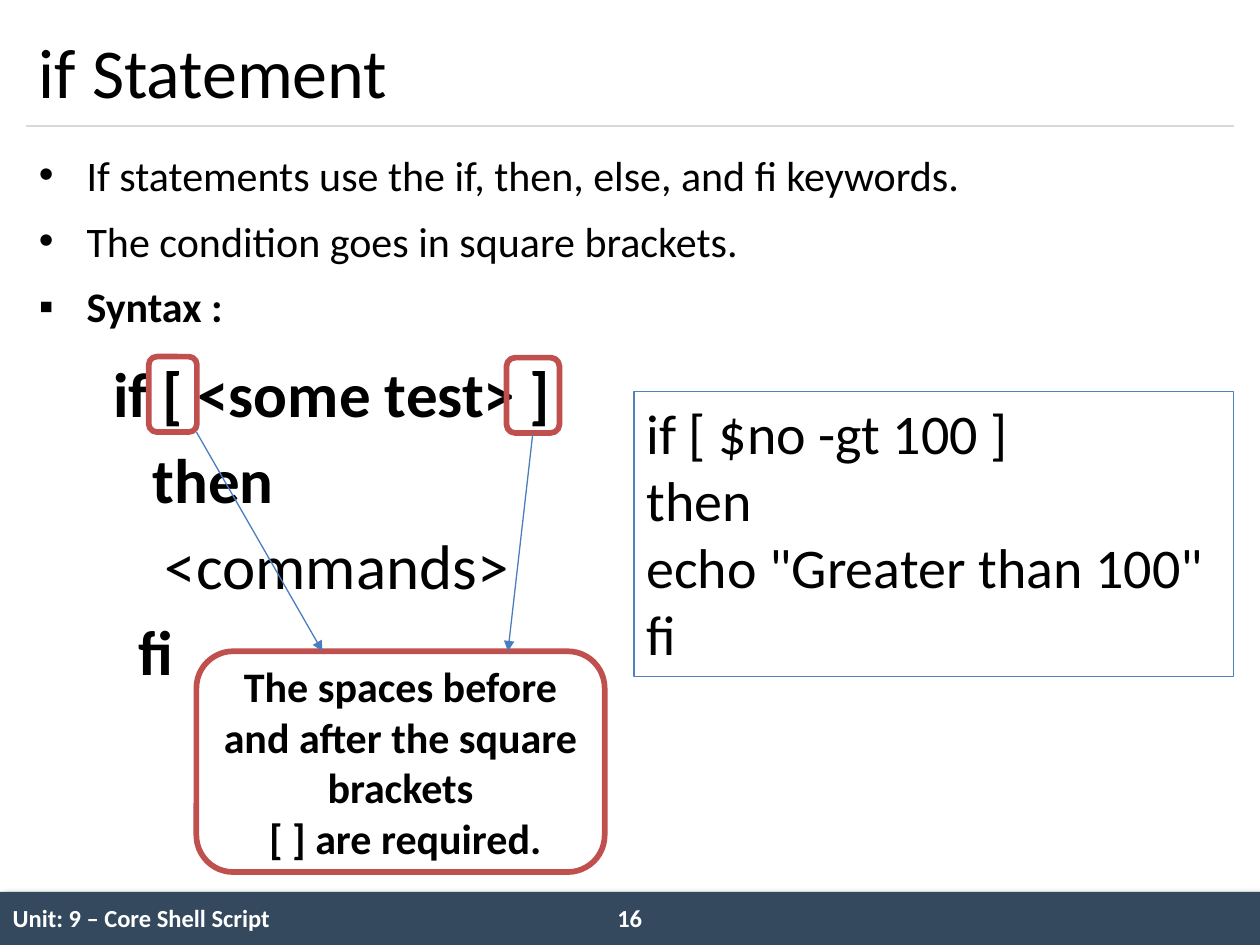
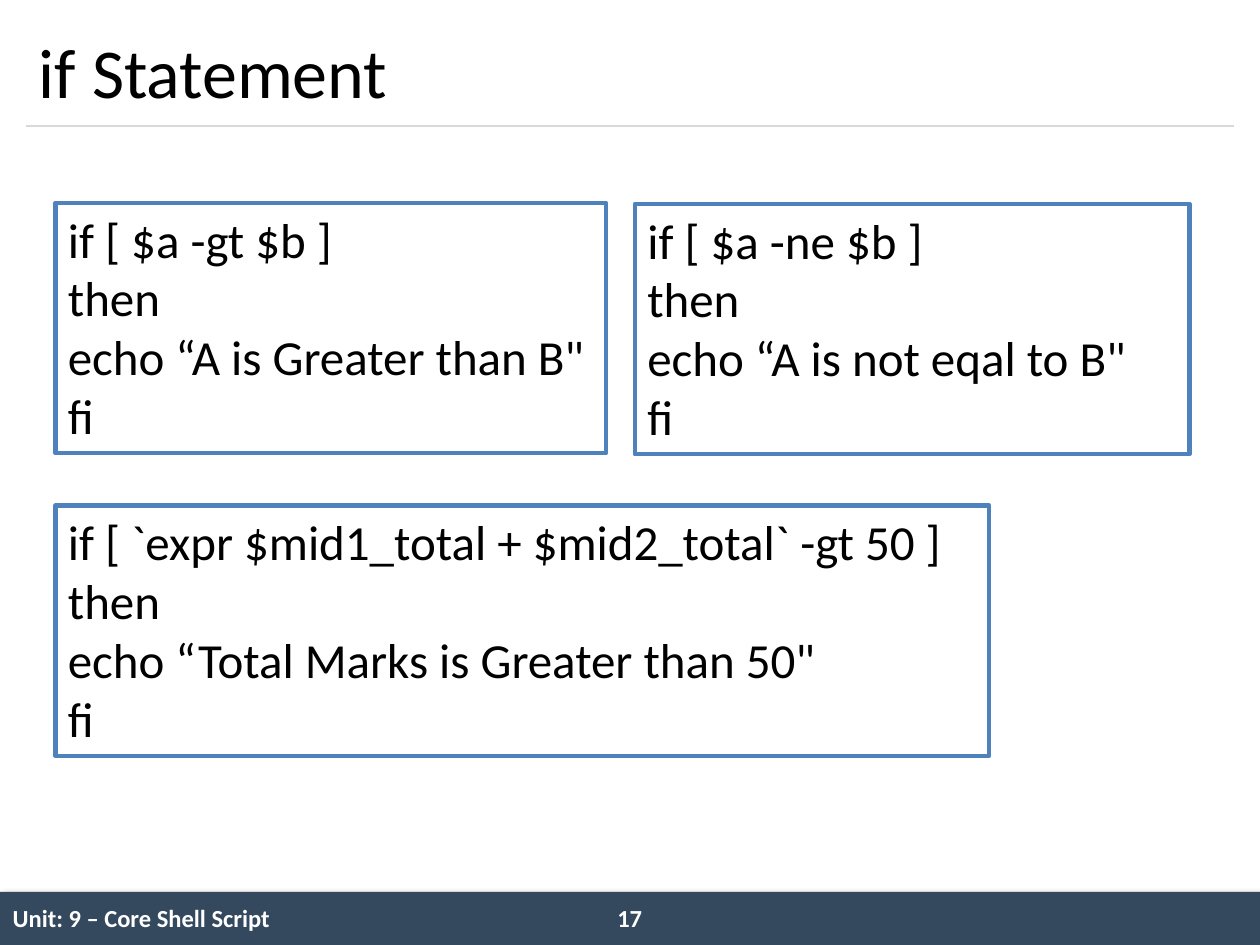
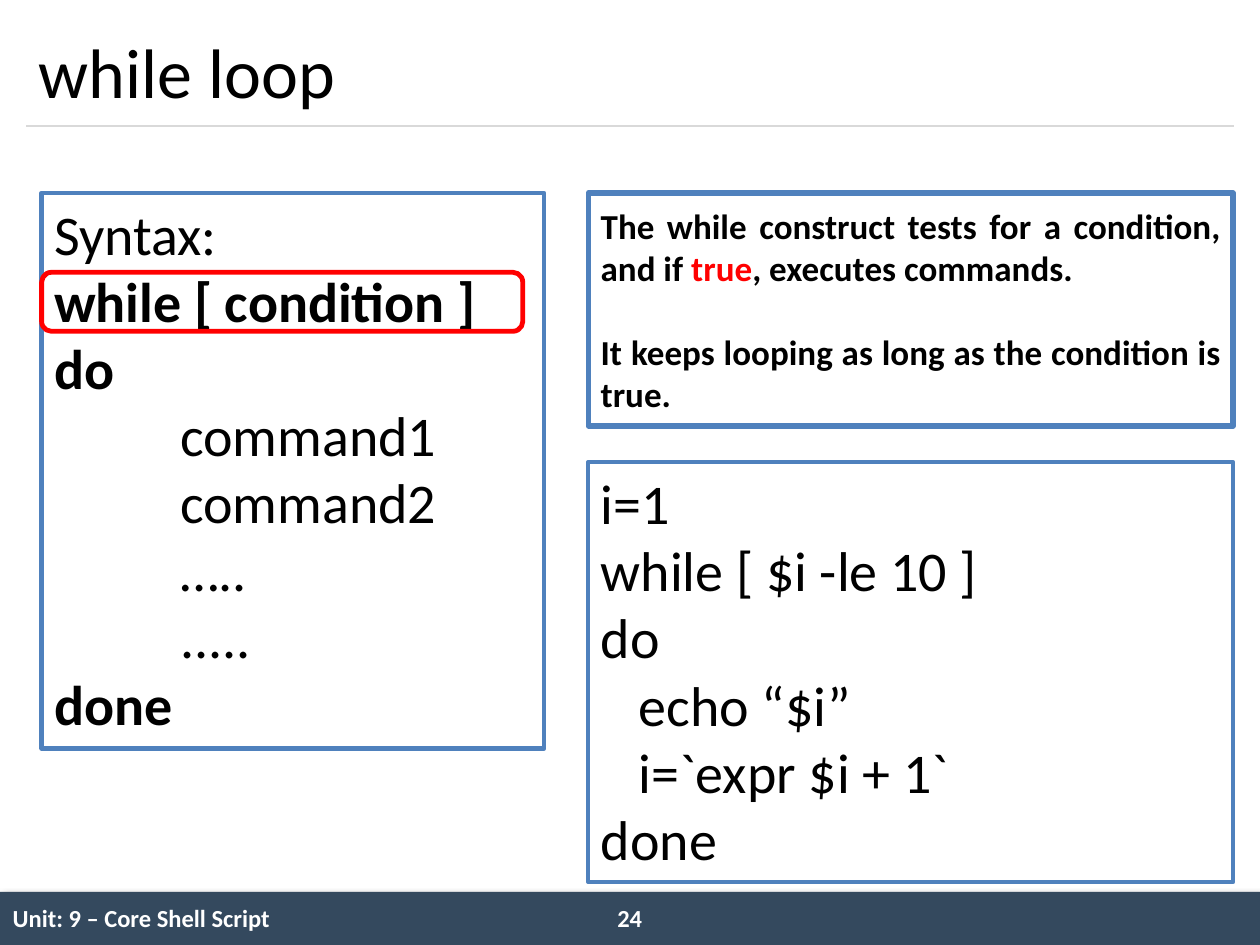
"""Builds three shell script slides on if statements and while loops."""
from lxml.etree import SubElement as Sub
from pptx import Presentation
from pptx.dml.color import RGBColor
from pptx.enum.shapes import MSO_CONNECTOR as Link, MSO_SHAPE as Form
from pptx.enum.text import MSO_ANCHOR as Anchor, MSO_AUTO_SIZE as Auto, PP_ALIGN as Align
from pptx.oxml.ns import qn
from pptx.util import Cm, Pt

FONT = "Calibri"
UNIT = "Unit: 9 – Core Shell Script"
BLACK, WHITE, RED = "000000", "FFFFFF", "FF0000"
NAVY, GREY, BLUE, BRICK, STEEL = "34495E", "D9D9D9", "4F81BD", "C0504D", "4B7EBC"
PLAIN = "{2D5ABB26-0587-4C30-8999-92F81FD0307C}"
LEFT, WIDE, HIGH = 0.53, 25.4, 19.05
SPAN, RULE, FOOT = WIDE - 2 * LEFT, 2.54, 17.98
COLS = (12.9, 1.7, 10.8)

BOLD = {"bold": True}
NOTE = {"size": 24, "bold": True, "align": Align.CENTER, "anchor": Anchor.MIDDLE}
TEXT = {"size": 20, "bold": True, "align": Align.JUSTIFY, "anchor": Anchor.MIDDLE}
ITEM = {"align": Align.JUSTIFY, "left": 0.96, "first": -0.96, "before": 4.8}
DOT = {**ITEM, "bullet": "•"}
CODE = {"size": 36, "bold": True}
DEEP, STEP = {"left": 2.54}, {"left": 0.77}

SLIDES = [
    {
        "title": "if Statement", "page": 16,
        "body": [
            ("If statements use the if, then, else, and fi keywords.", DOT),
            ("The condition goes in square brackets.", DOT),
            ("Syntax :", {**ITEM, **BOLD, "bullet": "▪"}),
            ("if [ <some test> ]", {**CODE, "left": 1.5, "before": 7.2}),
            ("then", {**CODE, "left": 2.29}),
            ("<commands>", {**CODE, "left": 2.54, "bold": False}),
            ("fi", {**CODE, "left": 2.01}),
        ],
        "boxes": [
            ((12.78, 7.9, 12.09, 5.74), 0.75, {"size": 32},
             ["if [ $no -gt 100 ]", "then", 'echo "Greater than 100"', "fi"]),
        ],
        "marks": [
            ((3, 7.19, 0.97, 1.52), BRICK, 3.25, []),
            ((10.21, 7.21, 1.07, 1.52), BRICK, 3.25, []),
            ((3.96, 13.13, 8.23, 4.45), BRICK, 3.25,
             ["The spaces before and after the square brackets", " [ ] are required."]),
        ],
        "arrows": [(3.96, 8.71, 6.5, 13.13), (10.74, 8.74, 10.24, 13.13)],
    },
    {
        "title": "if Statement", "page": 17,
        "boxes": [
            ((1.12, 4.09, 11.1, 5.05), 2.5, {"size": 28},
             ["if [ $a -gt $b ]", "then", 'echo “A is Greater than B"', "fi"]),
            ((12.8, 4.11, 11.18, 5.05), 2.5, {"size": 28},
             ["if [ $a -ne $b ]", "then", 'echo “A is not eqal to B"', "fi"]),
            ((1.12, 10.19, 18.82, 5.05), 2.5, {"size": 28},
             ["if [ `expr $mid1_total + $mid2_total` -gt 50 ]", "then",
              'echo “Total Marks is Greater than 50"', "fi"]),
        ],
    },
    {
        "title": "while loop", "page": 24,
        "boxes": [
            ((0.84, 3.89, 10.13, 11.2), 2.5, {"size": 32},
             ["Syntax:", ("while [ condition ]", BOLD), ("do", BOLD),
              ("command1", DEEP), ("command2", DEEP), ("…..", DEEP), (".....", DEEP),
              ("done", BOLD)]),
            ((11.86, 9.32, 13, 8.46), 2.5, {"size": 32},
             ["i=1", "while [ $i -le 10 ]", "do", ("echo “$i”", STEP),
              ("i=`expr $i + 1`", STEP), "done"]),
            ((11.86, 3.89, 13, 4.7), 3, TEXT,
             [([("The while construct tests for a condition, and if ", BLACK),
                ("true", RED), (", executes commands.", BLACK)], {}),
              ("It keeps looping as long as the condition is true.", {"before": 24})]),
        ],
        "marks": [((0.84, 5.49, 9.7, 1.19), RED, 2.75, [])],
    },
]


def tint(code):
    """Turn a hex string into a colour."""
    return RGBColor.from_string(code)


def put(item, vals):
    """Set each attribute named in a dict."""
    for name, val in vals.items():
        setattr(item, name, val)


def place(item, spot):
    """Move and size a shape, in centimetres."""
    put(item, dict(zip(("left", "top", "width", "height"), map(Cm, spot))))


def write(frame, lines, **base):
    """Fill a text frame, one paragraph per line."""
    put(frame, {"word_wrap": True, "auto_size": Auto.NONE,
                "vertical_anchor": base.get("anchor", Anchor.TOP)})
    for num, line in enumerate(lines):
        text, own = line if isinstance(line, tuple) else (line, {})
        look = {**base, **own}
        para = frame.add_paragraph() if num else frame.paragraphs[0]
        put(para, {"alignment": look.get("align", Align.LEFT),
                   "line_spacing": look.get("space", 1.0),
                   "space_before": Pt(look.get("before", 0))})
        prop = para._p.get_or_add_pPr()
        prop.set("marL", str(Cm(look.get("left", 0))))
        prop.set("indent", str(Cm(look.get("first", 0))))
        if "bullet" in look:
            Sub(prop, qn("a:buFont"), typeface="Arial")
            Sub(prop, qn("a:buChar"), char=look["bullet"])
        else:
            Sub(prop, qn("a:buNone"))
        parts = [(text, look.get("color", BLACK))] if isinstance(text, str) else text
        for words, color in parts:
            run = para.add_run()
            run.text = words
            put(run.font, {"name": FONT, "size": Pt(look["size"]),
                           "bold": look.get("bold", False)})
            run.font.color.rgb = tint(color)


def frame(slide, form, spot, color, width):
    """Add an unfilled outline shape."""
    item = slide.shapes.add_shape(form, *map(Cm, spot))
    item.shadow.inherit = False
    item.fill.background()
    item.line.color.rgb = tint(color)
    item.line.width = Pt(width)
    return item


def link(slide, ends, color, arrow=False):
    """Add a thin straight line, with or without an arrowhead."""
    item = slide.shapes.add_connector(Link.STRAIGHT, *map(Cm, ends))
    item.line.color.rgb = tint(color)
    item.line.width = Pt(0.75)
    if arrow:
        Sub(item.line._get_or_add_ln(), qn("a:tailEnd"), type="triangle")
    Sub(item._element.spPr, qn("a:effectLst"))


def base(slide, page):
    """Add the footer band, unit name, page number and title rule."""
    foot = {"size": 14, "bold": True, "color": WHITE}
    band = slide.shapes.add_shape(Form.RECTANGLE, *map(Cm, (0, FOOT, WIDE, HIGH - FOOT)))
    band.shadow.inherit = False
    band.fill.solid()
    band.fill.fore_color.rgb = tint(NAVY)
    band.line.fill.background()
    glow = Sub(band._element.spPr.find(qn("a:effectLst")), qn("a:outerShdw"),
               blurRad=str(Pt(4)), dist=str(Pt(3)), dir="2700000")
    Sub(Sub(glow, qn("a:srgbClr"), val=BLACK), qn("a:alpha"), val="40000")

    grid = slide.shapes.add_table(1, len(COLS), *map(Cm, (0, FOOT, WIDE, 1.09))).table
    put(grid, {"first_row": False, "horz_banding": False})
    grid._tbl.tblPr.find(qn("a:tableStyleId")).text = PLAIN
    for col, width in zip(grid.columns, COLS):
        col.width = Cm(width)
    for cell in grid.iter_cells():
        cell.fill.background()
    unit = grid.cell(0, 0)
    write(unit.text_frame, [UNIT], **foot)
    unit.vertical_anchor = Anchor.MIDDLE

    count = slide.shapes.add_textbox(*map(Cm, (11.96, 18.08, 1.47, 0.86)))
    write(count.text_frame, [str(page)], align=Align.CENTER, **foot)
    link(slide, (LEFT, RULE, LEFT + SPAN, RULE), GREY)


def build(deck, data):
    """Add one slide from its content."""
    slide = deck.slides.add_slide(deck.slide_layouts[1 if "body" in data else 5])
    base(slide, data["page"])
    title = slide.shapes.title
    place(title, (LEFT, 0.3, SPAN, 2.24))
    write(title.text_frame, [data["title"]], size=40, anchor=Anchor.MIDDLE)
    if "body" in data:
        body = slide.placeholders[1]
        place(body, (LEFT, 2.74, SPAN, 14.81))
        write(body.text_frame, data["body"], size=24, space=1.14)
    for spot, width, look, lines in data["boxes"]:
        box = frame(slide, Form.RECTANGLE, spot, BLUE, width)
        write(box.text_frame, lines, **look)
    for spot, color, width, lines in data.get("marks", []):
        mark = frame(slide, Form.ROUNDED_RECTANGLE, spot, color, width)
        write(mark.text_frame, lines, **NOTE)
    for ends in data.get("arrows", []):
        link(slide, ends, STEEL, True)


def main():
    """Build and save the deck."""
    deck = Presentation()
    put(deck, {"slide_width": Cm(WIDE), "slide_height": Cm(HIGH)})
    for data in SLIDES:
        build(deck, data)
    deck.save("out.pptx")


if __name__ == "__main__":
    main()
